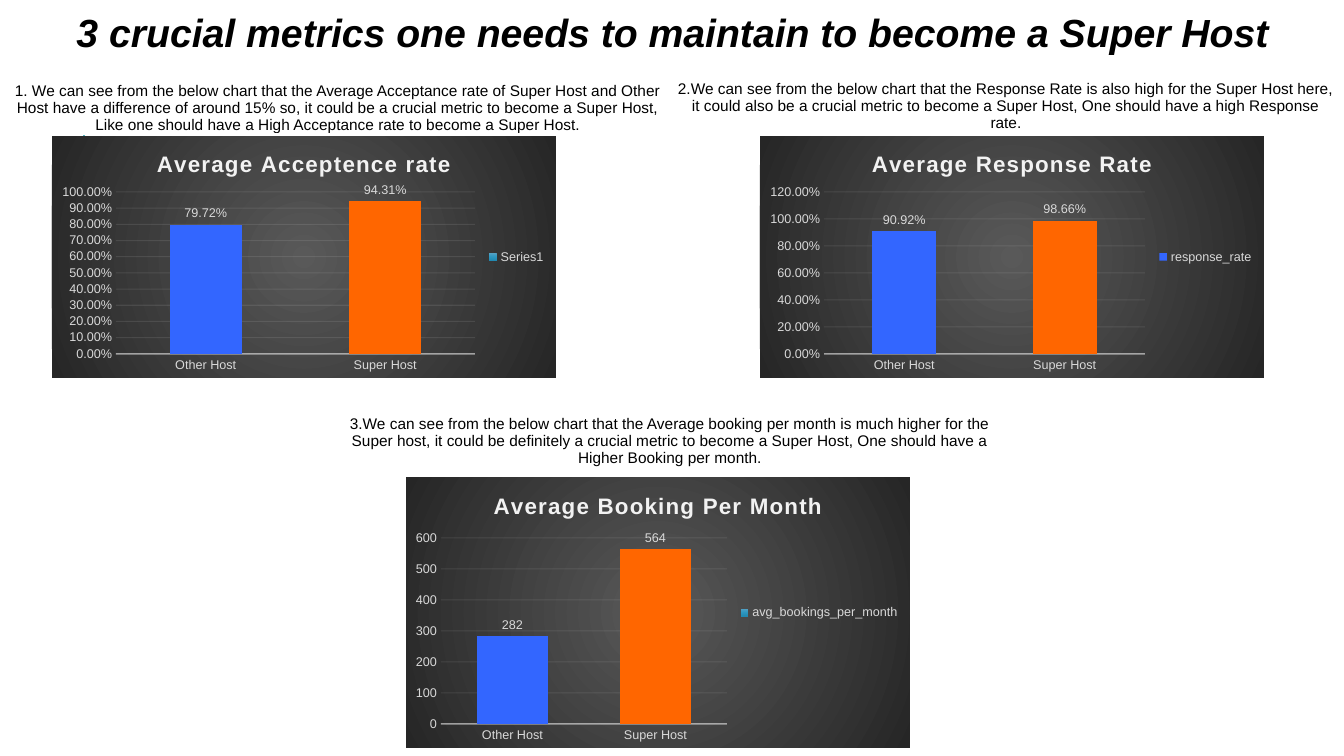
import copy
import pptx
import pptx.chart.data
import pptx.dml.color
import pptx.enum.chart
import pptx.enum.shapes
import pptx.enum.text
import pptx.oxml
import pptx.oxml.ns
import pptx.util

PX = 914400 / 100.8
FONT = "Arial"
PALE = "D9D9D9"
BLUE, ORANGE = "3366FF", "FF6600"
NS = pptx.oxml.ns.nsdecls("c", "a")
ENUM = pptx.enum.chart


def px(*sizes):
    return [pptx.util.Emu(round(size * PX)) for size in sizes]


def style(font, size, color, bold=False, italic=False):
    font.name, font.size = FONT, pptx.util.Pt(size)
    font.bold, font.italic = bold, italic
    font.color.rgb = pptx.dml.color.RGBColor.from_string(color)


rgb = pptx.dml.color.RGBColor.from_string
deck = pptx.Presentation()
deck.slide_width, deck.slide_height = px(1344, 756)
slide = deck.slides.add_slide(deck.slide_layouts[6])

# Accent line behind the first chart
line = slide.shapes.add_connector(
    pptx.enum.shapes.MSO_CONNECTOR.STRAIGHT, *px(84, 192, 84, 91))
line.line.color.rgb = rgb("58B6C0")
line.line.width = pptx.util.Pt(1.5)
line.element.spPr.append(pptx.oxml.parse_xml(f"<a:effectLst {NS}/>"))

# Charts: title, series, values, format, gap, box, plot area inside the box
charts = [
    ("Average Acceptence rate", "", (0.7972, 0.9431), "0.00%", 150,
     (52, 136, 504, 242), (64, 56, 359, 162)),
    ("Average Response Rate", "response_rate", (0.9092, 0.9866), "0.00%", 150,
     (760, 136, 504, 242), (64, 56, 321, 162)),
    ("Average Booking Per Month", "avg_bookings_per_month", (282, 564), "General", 100,
     (406, 477, 504, 271), (35, 61, 286, 186)),
]
for head, name, vals, fmt, gap, box, area in charts:
    data = pptx.chart.data.CategoryChartData(number_format=fmt)
    data.categories = ["Other Host", "Super Host"]
    data.add_series(name, vals)
    chart = slide.shapes.add_chart(
        ENUM.XL_CHART_TYPE.COLUMN_CLUSTERED, *px(*box), data).chart
    style(chart.font, 10, "000000")

    # Heading and legend
    chart.has_title = True
    run = chart.chart_title.text_frame.paragraphs[0].add_run()
    run.text = head
    style(run.font, 16, "F2F2F2", True)
    chart.element.xpath(".//c:title//a:rPr")[0].set("spc", "100")
    chart.chart_title.include_in_layout = False
    chart.has_legend = True
    chart.legend.position = ENUM.XL_LEGEND_POSITION.RIGHT
    chart.legend.include_in_layout = False
    style(chart.legend.font, 9, PALE)

    # An unnamed series takes the automatic name in the legend
    if not name:
        label = chart.element.xpath(".//c:ser/c:tx")[0]
        label.getparent().remove(label)

    # Columns and labels
    plot = chart.plots[0]
    plot.gap_width, plot.overlap, plot.vary_by_categories = gap, -24, False
    bars = plot.series[0]
    fill = bars.format.fill
    if name == "response_rate":
        fill.solid()
        fill.fore_color.rgb = rgb(BLUE)
        paints = {1: ORANGE}
    else:
        fill.gradient()
        fill.gradient_angle = 270
        first = chart.element.xpath(".//c:ser/c:spPr//a:gs")[0]
        first.addnext(copy.deepcopy(first))
        shades = ("56A1C4", "2D97C1", "2289B1")
        for stop, spot, color in zip(fill.gradient_stops, (0, 0.5, 1), shades):
            stop.position = spot
            stop.color.rgb = rgb(color)
        paints = {0: BLUE, 1: ORANGE}
    for spot, color in paints.items():
        fill = bars.points[spot].format.fill
        fill.solid()
        fill.fore_color.rgb = rgb(color)
    tags = bars.data_labels
    tags.show_value = True
    tags.position = ENUM.XL_LABEL_POSITION.OUTSIDE_END
    style(tags.font, 9, PALE)

    # Axes and grid
    cat, val = chart.category_axis, chart.value_axis
    for axis in (cat, val):
        axis.major_tick_mark = axis.minor_tick_mark = ENUM.XL_TICK_MARK.NONE
        style(axis.tick_labels.font, 9, PALE)
    if fmt == "0.00%":
        val.minimum_scale = 0
        for part in (tags, val.tick_labels):
            part.number_format, part.number_format_is_linked = fmt, False
    val.format.line.fill.background()
    val.has_major_gridlines = True
    for part, width, route, alpha in (
            (cat, 1, "c:catAx/c:spPr", 54),
            (val.major_gridlines, 0.75, "c:majorGridlines", 10)):
        part.format.line.color.rgb = rgb("F2F2F2")
        part.format.line.width = pptx.util.Pt(width)
        tint = chart.element.xpath(f".//{route}//a:srgbClr")[0]
        tint.append(pptx.oxml.parse_xml(f'<a:alpha {NS} val="{alpha * 1000}"/>'))

    # Plot area layout
    for old in chart.element.xpath(".//c:plotArea/c:layout"):
        old.getparent().remove(old)
    shares = zip("xywh", area, box[2:] * 2)
    rule = "".join(f'<c:{key} val="{size / full:.4f}"/>' for key, size, full in shares)
    chart.element.xpath(".//c:plotArea")[0].insert(0, pptx.oxml.parse_xml(
        f'<c:layout {NS}><c:manualLayout><c:layoutTarget val="inner"/>'
        f'<c:xMode val="edge"/><c:yMode val="edge"/>{rule}</c:manualLayout></c:layout>'))

    # Dark round gradient behind the chart
    chart.element.xpath("./c:chart")[0].addnext(pptx.oxml.parse_xml(
        f'<c:spPr {NS}><a:gradFill><a:gsLst>'
        '<a:gs pos="0"><a:srgbClr val="595959"/></a:gs>'
        '<a:gs pos="100000"><a:srgbClr val="262626"/></a:gs></a:gsLst>'
        '<a:path path="circle"><a:fillToRect l="50000" t="50000" r="50000" b="50000"/>'
        '</a:path></a:gradFill><a:ln><a:noFill/></a:ln></c:spPr>'))

# Heading and notes, one table cell each: box, anchor, size, strong, text
anchor = pptx.enum.text.MSO_ANCHOR
notes = [
    ((8, 76, 660, 58), anchor.BOTTOM, 11, False,
     "1. We can see from the below chart that the Average Acceptance rate of Super Host "
     "and Other Host have a difference of around 15% so, it could be a crucial metric to "
     "become a Super Host, Like one should have a High Acceptance rate to become a Super Host."),
    ((17, 9, 1311, 47), anchor.BOTTOM, 28, True,
     "3 crucial metrics one needs to maintain to become a Super Host"),
    ((676, 77, 660, 58), anchor.MIDDLE, 11, False,
     "2.We can see from the below chart that the Response Rate is also high for the Super "
     "Host here, it could also be a crucial metric to become a Super Host, One should have "
     "a high Response rate."),
    ((334, 412, 672, 58), anchor.MIDDLE, 11, False,
     "3.We can see from the below chart that the Average booking per month is much higher "
     "for the Super host, it could be definitely a crucial metric to become a Super Host, "
     "One should have a Higher Booking per month."),
]
for box, place, size, strong, text in notes:
    table = slide.shapes.add_table(1, 1, *px(*box)).table
    table.first_row = table.horz_banding = False
    cell = table.cell(0, 0)
    cell.fill.solid()
    cell.fill.fore_color.rgb = rgb("FFFFFF")
    cell.vertical_anchor = place
    cell.margin_left, cell.margin_top, cell.margin_right, cell.margin_bottom = px(1, 1, 1, 0)
    for spot, side in enumerate("LRTB"):
        cell._tc.tcPr.insert(spot, pptx.oxml.parse_xml(
            f'<a:ln{side} {NS} w="12700"><a:solidFill><a:srgbClr val="FFFFFF"/>'
            f'</a:solidFill></a:ln{side}>'))
    para = cell.text_frame.paragraphs[0]
    para.alignment = pptx.enum.text.PP_ALIGN.CENTER
    run = para.add_run()
    run.text = text
    style(run.font, size, "000000", strong, strong)

deck.save("out.pptx")
